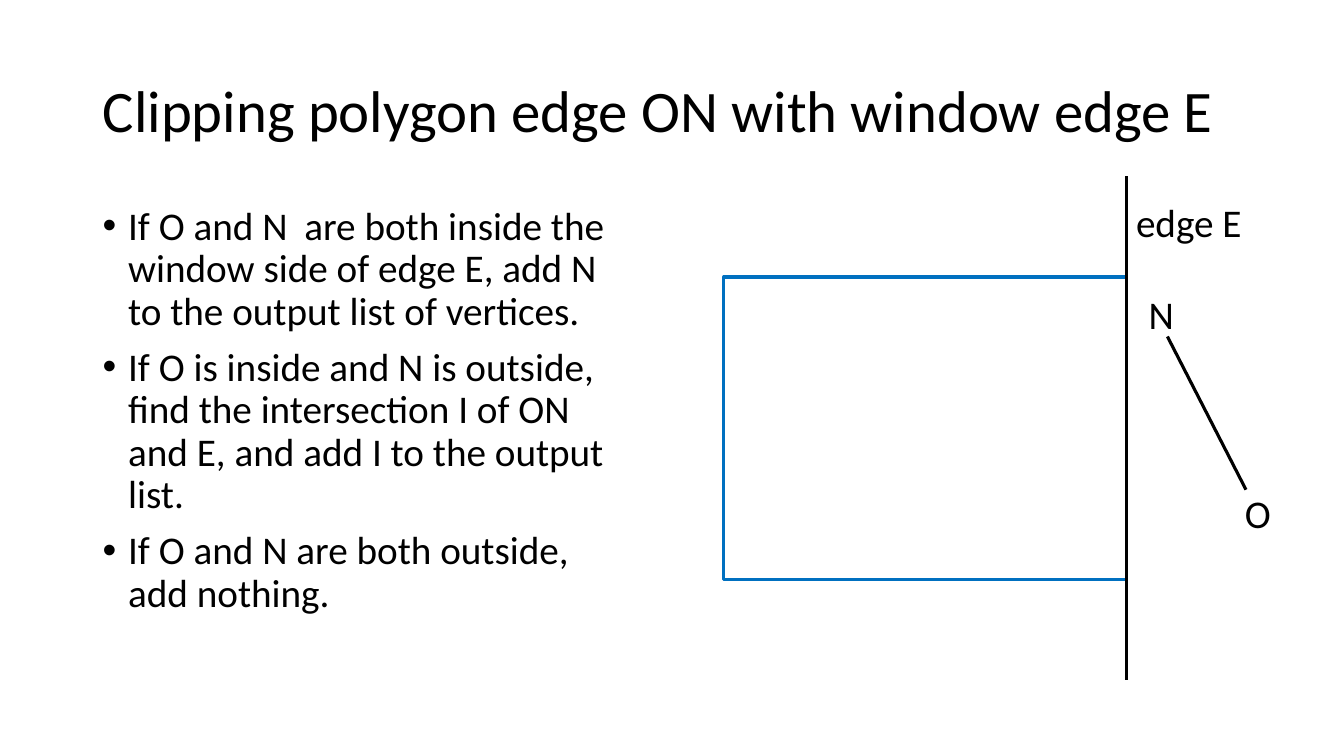
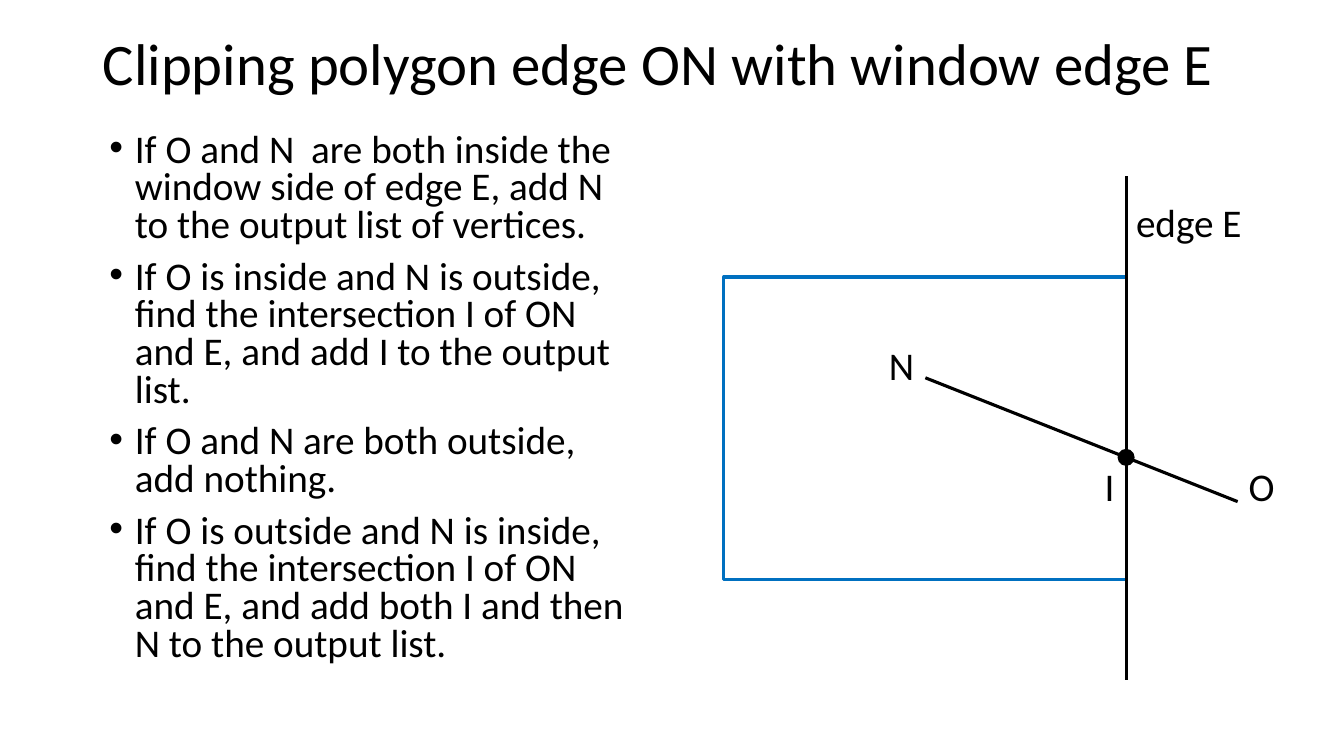
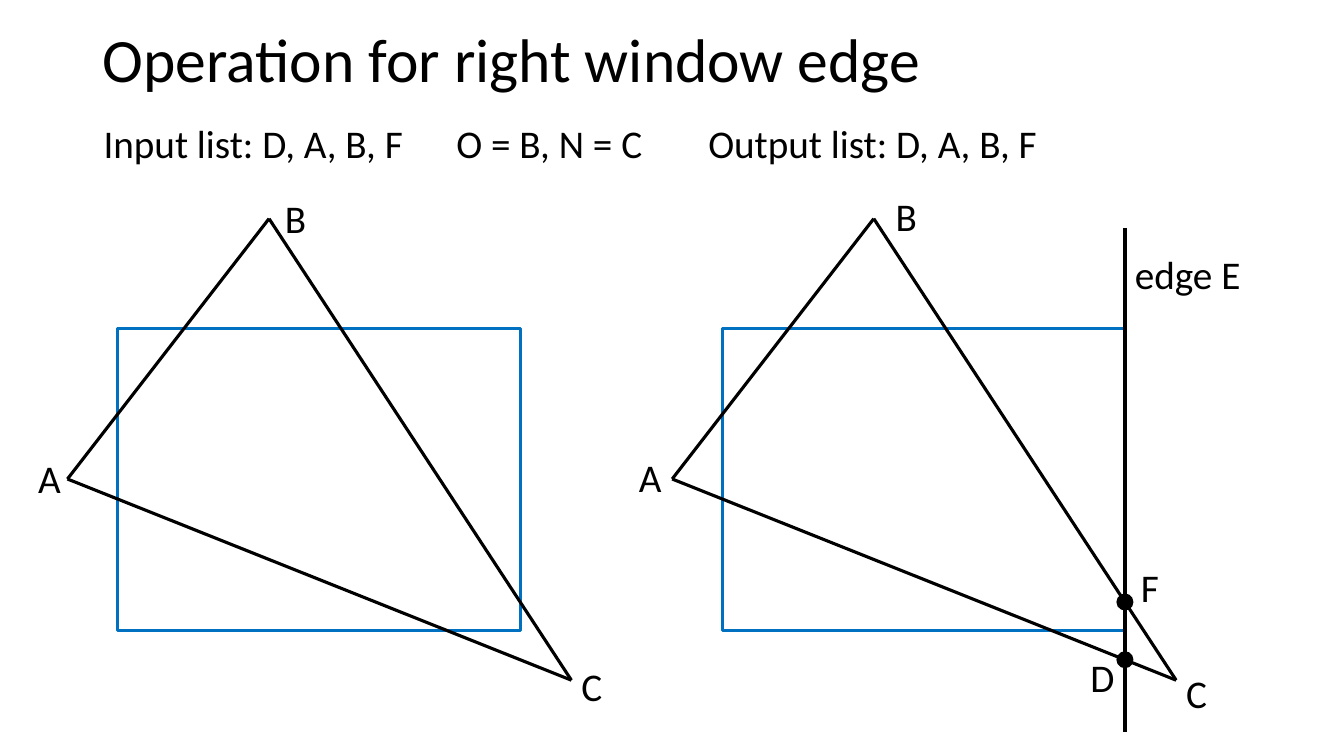
from lxml import etree
from pptx import Presentation
from pptx.dml.color import RGBColor
from pptx.enum import shapes, text
from pptx.oxml import ns
from pptx.util import Cm, Pt

FONT = "Calibri"
BLACK = "000000"
BLUE = "0070C0"
LINE_WIDTH = Pt(2.25)
WINDOW_W, WINDOW_H = 10.14, 7.62
EDGE_LENGTH = 12.7
DOT = 0.43
LABEL_W, LABEL_H = 1.57, 1.65
TRIANGLE = {"A": (-1.27, 3.79), "B": (3.81, -2.77), "C": (11.43, 8.86)}

CLIPPING_TITLE = "Clipping polygon edge ON with window edge E"
RULES = [
    "If O and N \tare both inside the window side of edge E, "
    "add N to the output list of vertices.",
    "If O is inside and N is outside, find the intersection I of ON and E, "
    "and add I to the output list.",
    "If O and N are both outside, add nothing.",
    "If O is outside and N is inside, find the intersection I of ON and E, "
    "and add both I and then N to the output list.",
]


def color(hex_string):
    return RGBColor.from_string(hex_string)


def add_xml(parent, tag, **attributes):
    return etree.SubElement(parent, ns.qn(tag), attributes)


def add_text(slide, box, paragraphs, size=28, spacing=0.9, before=10,
             anchor=text.MSO_ANCHOR.TOP, bullet=False, tabs=()):
    """Write one paragraph per string; box and tabs are in centimetres."""
    frame = slide.shapes.add_textbox(*map(Cm, box)).text_frame
    frame.word_wrap = True
    frame.vertical_anchor = anchor
    for i, words in enumerate(paragraphs):
        paragraph = frame.add_paragraph() if i else frame.paragraphs[0]
        paragraph.text = words
        properties = paragraph._p.get_or_add_pPr()
        if bullet:
            properties.set("marL", str(Cm(0.64)))
            properties.set("indent", str(-Cm(0.64)))
            add_xml(properties, "a:buFont", typeface="Arial")
            add_xml(properties, "a:buChar", char="•")
        if tabs:
            stops = add_xml(properties, "a:tabLst")
            for stop in tabs:
                add_xml(stops, "a:tab", pos=str(Cm(stop)), algn="l")
        paragraph.line_spacing = spacing
        paragraph.space_before = Pt(before)
        paragraph.font.name = FONT
        paragraph.font.size = Pt(size)
        paragraph.font.color.rgb = color(BLACK)


def add_title(slide, words, top, height, size=42):
    add_text(slide, (2.34, top, 29.21, height), [words], size, before=0,
             anchor=text.MSO_ANCHOR.MIDDLE)


class Diagram:
    """A clipping window; its parts are placed from the window's top left."""

    def __init__(self, slide, left, top):
        self.slide, self.left, self.top = slide, left, top
        window = self.add_shape(shapes.MSO_SHAPE.RECTANGLE, 0, 0, WINDOW_W, WINDOW_H)
        window.fill.background()
        window.line.color.rgb = color(BLUE)
        window.line.width = LINE_WIDTH

    def add_shape(self, preset, x, y, width, height):
        shape = self.slide.shapes.add_shape(
            preset, Cm(self.left + x), Cm(self.top + y), Cm(width), Cm(height))
        shape.shadow.inherit = False
        return shape

    def add_line(self, start, end):
        line = self.slide.shapes.add_connector(
            shapes.MSO_CONNECTOR.STRAIGHT,
            Cm(self.left + start[0]), Cm(self.top + start[1]),
            Cm(self.left + end[0]), Cm(self.top + end[1]))
        line.line.color.rgb = color(BLACK)
        line.line.width = LINE_WIDTH
        add_xml(line._element.spPr, "a:effectLst")

    def add_label(self, words, x, y, width=LABEL_W, spacing=0.9):
        add_text(self.slide, (self.left + x, self.top + y, width, LABEL_H),
                 [words], spacing=spacing)

    def add_labels(self, places):
        for words, (x, y) in places.items():
            self.add_label(words, x, y)

    def add_edge(self):
        """Draw edge E along the right side of the window, centred on it."""
        above = (WINDOW_H - EDGE_LENGTH) / 2
        self.add_line((WINDOW_W, above), (WINDOW_W, above + EDGE_LENGTH))
        self.add_label("edge E", WINDOW_W, above + 0.57, width=3.3)

    def add_crossing(self, start, end):
        """Mark the point where a segment meets edge E."""
        share = (WINDOW_W - start[0]) / (end[0] - start[0])
        y = start[1] + share * (end[1] - start[1])
        dot = self.add_shape(shapes.MSO_SHAPE.OVAL,
                             WINDOW_W - DOT / 2, y - DOT / 2, DOT, DOT)
        dot.fill.solid()
        dot.fill.fore_color.rgb = color(BLACK)
        dot.line.fill.background()

    def add_triangle(self):
        for start, end in ("BA", "AC", "BC"):
            self.add_line(TRIANGLE[start], TRIANGLE[end])


def clipping_slide(slide, title_box, rules_box, rules, spacing, segment, n_label, labels):
    add_title(slide, CLIPPING_TITLE, *title_box)
    add_text(slide, rules_box, rules, spacing=spacing, bullet=True)
    diagram = Diagram(slide, 18.24, 6.98)
    diagram.add_edge()
    diagram.add_line(*segment)
    diagram.add_label("N", *n_label, spacing=0.8)
    diagram.add_labels(labels)
    if segment[0][0] < WINDOW_W < segment[1][0]:
        diagram.add_crossing(*segment)


def operation_slide(slide):
    add_title(slide, "Operation for right window edge", -0.03, 3.2, size=44)
    add_text(slide, (2.36, 2.87, 26.21, 1.45),
             ["Input list: D, A, B, F\tO = B, N = C\tOutput list: D, A, B, F"],
             spacing=1.0, before=0, tabs=(8.89, 15.24))

    before = Diagram(slide, 2.97, 8.28)
    before.add_triangle()
    before.add_labels({"A": (-2.26, 3.18), "B": (3.96, -3.38), "C": (11.43, 8.43)})

    after = Diagram(slide, 18.21, 8.28)
    after.add_edge()
    after.add_triangle()
    for start in "AB":
        after.add_crossing(TRIANGLE[start], TRIANGLE["C"])
    after.add_labels({"A": (-2.36, 3.15), "B": (4.11, -3.43), "C": (11.43, 8.59),
                      "D": (9.02, 8.2), "F": (10.29, 5.92)})


def main():
    deck = Presentation()
    deck.slide_width, deck.slide_height = Cm(33.87), Cm(19.05)
    both_outside, crossing, operation = (
        deck.slides.add_slide(deck.slide_layouts[6]) for _ in range(3))
    clipping_slide(both_outside, (1.02, 3.68), (2.34, 5.08, 13.87, 12.09), RULES[:3], 0.9,
                   segment=((11.18, 1.5), (13.16, 5.36)), n_label=(10.46, 0.43),
                   labels={"O": (12.88, 5.36)})
    clipping_slide(crossing, (0.33, 2.69), (2.51, 3.23, 13.87, 14.73), RULES, 0.8,
                   segment=((5.08, 2.54), (12.95, 5.66)), n_label=(3.91, 1.73),
                   labels={"O": (12.98, 4.67), "I": (9.35, 4.67)})
    operation_slide(operation)
    deck.save("out.pptx")


if __name__ == "__main__":
    main()
